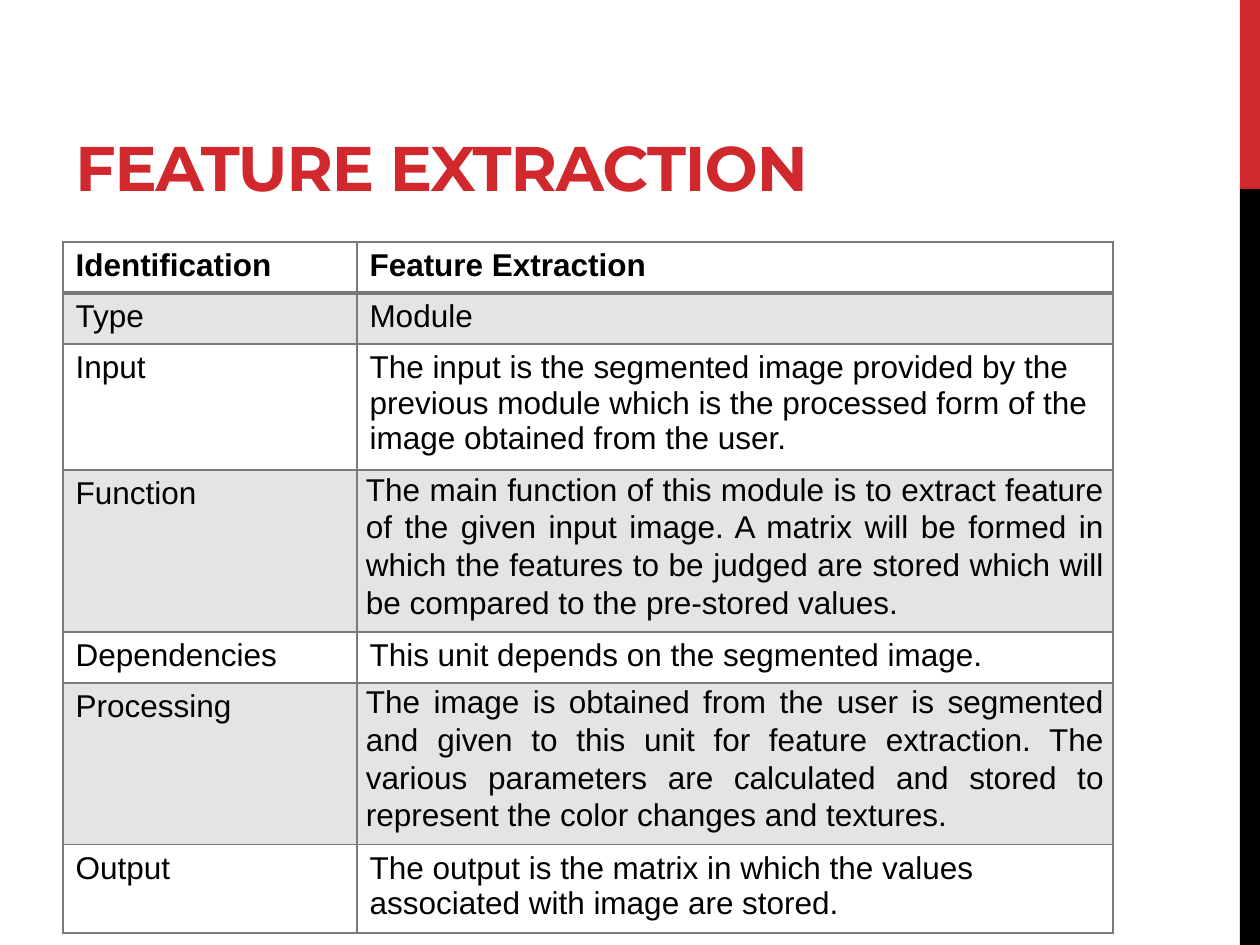
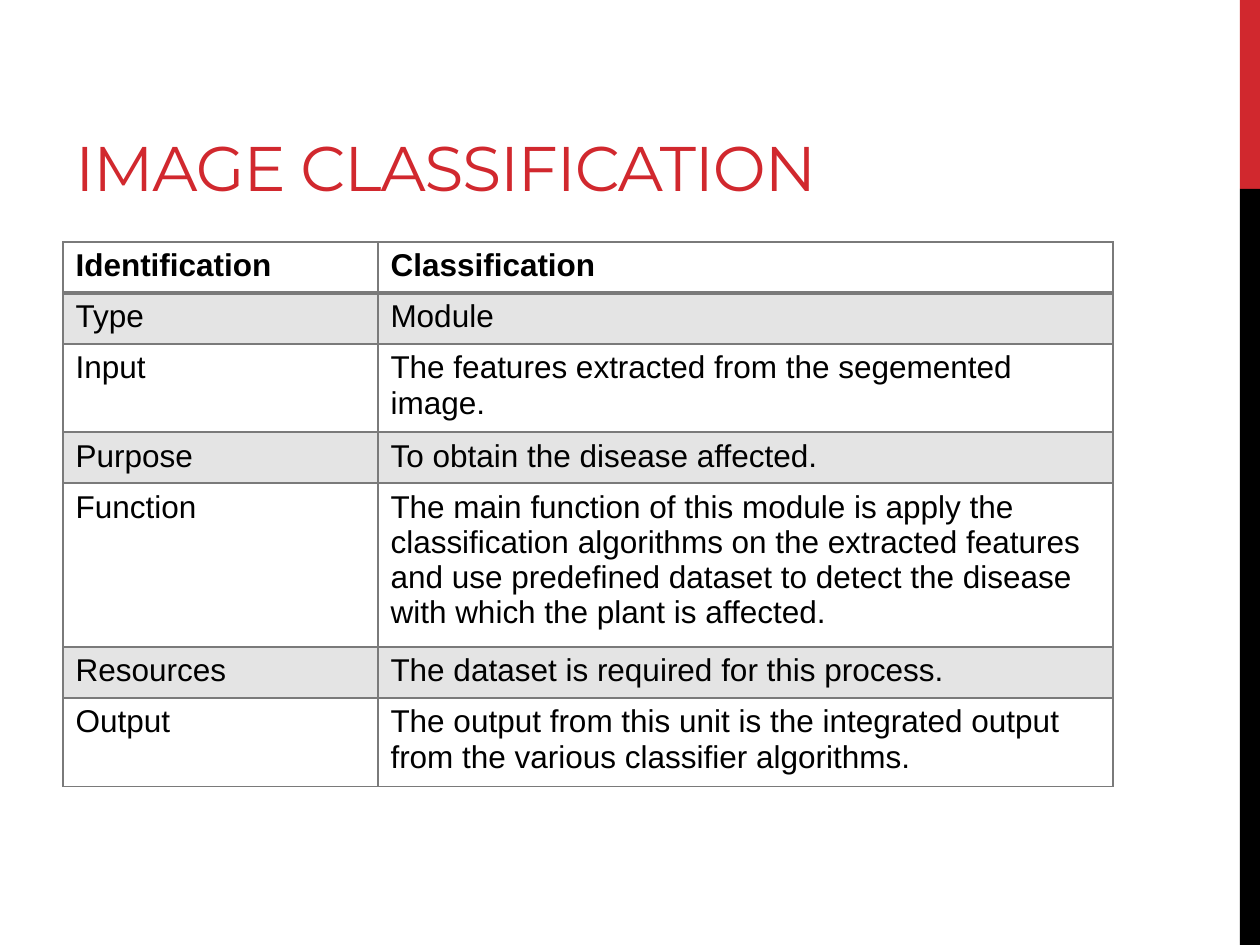
"""Build two module description slides with a shared title style, side band and table."""
from dataclasses import dataclass

from lxml.etree import SubElement
from pptx import Presentation
from pptx.dml.color import RGBColor as RGB
from pptx.enum.shapes import MSO_SHAPE as SHAPE
from pptx.enum.text import MSO_ANCHOR as ANCHOR, PP_ALIGN as ALIGN
from pptx.oxml.ns import qn
from pptx.util import Pt

PX = 914400 // 126


@dataclass(frozen=True)
class Theme:
    red: str = "D1282E"
    black: str = "000000"
    white: str = "FFFFFF"
    band: str = "E4E4E4"
    border: str = "7A7A7A"
    title_font: str = "Montserrat"
    body_font: str = "Arial"
    title_size: int = 36
    body_size: int = 18


theme = Theme()

SLIDES = [
    ("FEATURE EXTRACTION", True, (294, 756), {"Function", "Processing"}, [
        ("Identification", "Feature Extraction"),
        ("Type", "Module"),
        ("Input", "The input is the segmented image provided by the previous module "
                  "which is the processed form of the image obtained from the user."),
        ("Function", "The main function of this module is to extract feature of the given "
                     "input image. A matrix will be formed in which the features to be "
                     "judged are stored which will be compared to the pre-stored values."),
        ("Dependencies", "This unit depends on the segmented image."),
        ("Processing", "The image is obtained from the user is segmented and given to this "
                       "unit for feature extraction. The various parameters are calculated "
                       "and stored to represent the color changes and textures."),
        ("Output", "The output is the matrix in which the values associated with image "
                   "are stored."),
    ]),
    ("IMAGE CLASSIFICATION", False, (315, 735), set(), [
        ("Identification", "Classification"),
        ("Type", "Module"),
        ("Input", "The features extracted from the segemented image."),
        ("Purpose", "To obtain the disease affected."),
        ("Function", "The main function of this module is apply the classification "
                     "algorithms on the extracted features and use predefined dataset to "
                     "detect the disease with which the plant is affected."),
        ("Resources", "The dataset is required for this process."),
        ("Output", "The output from this unit is the integrated output from the various "
                   "classifier algorithms."),
    ]),
]


def style_run(r, font, size, color, bold):
    r.font.name = font
    r.font.size = Pt(size)
    r.font.color.rgb = RGB.from_string(color)
    r.font.bold = bold


def add_borders(cell, widths):
    tc_pr = cell._tc.get_or_add_tcPr()
    for side, width in widths.items():
        ln = SubElement(tc_pr, qn(f"a:ln{side}"), w=str(Pt(width)))
        fill = SubElement(ln, qn("a:solidFill"))
        SubElement(fill, qn("a:srgbClr"), val=theme.border)


prs = Presentation()
prs.slide_width = 1260 * PX
prs.slide_height = 945 * PX

for title, bold, widths, justified, rows in SLIDES:
    s = prs.slides.add_slide(prs.slide_layouts[6])

    for top, height, color in ((0, 189, theme.red), (189, 756, theme.black)):
        sp = s.shapes.add_shape(SHAPE.RECTANGLE, 1240 * PX, top * PX, 20 * PX, height * PX)
        sp.shadow.inherit = False
        sp.fill.solid()
        sp.fill.fore_color.rgb = RGB.from_string(color)
        sp.line.fill.background()

    tf = s.shapes.add_textbox(63 * PX, 21 * PX, 798 * PX, 189 * PX).text_frame
    tf.word_wrap = True
    tf.vertical_anchor = ANCHOR.BOTTOM
    tf.text = title
    r = tf.paragraphs[0].runs[0]
    style_run(r, theme.title_font, theme.title_size, theme.red, bold)
    r.font._element.set("spc", "-60")

    table = s.shapes.add_table(len(rows), 2, 63 * PX, 242 * PX,
                               sum(widths) * PX, 51 * len(rows) * PX).table
    table.first_row = False
    table.horz_banding = False
    for column, width in zip(table.columns, widths):
        column.width = width * PX

    for i, row in enumerate(rows):
        table.rows[i].height = 51 * PX
        for j, text in enumerate(row):
            cell = table.cell(i, j)
            add_borders(cell, {"L": 1, "R": 1, "T": 2 if i == 1 else 1, "B": 2 if i == 0 else 1})
            cell.fill.solid()
            cell.fill.fore_color.rgb = RGB.from_string(theme.band if i % 2 else theme.white)
            cell.text_frame.text = text
            p = cell.text_frame.paragraphs[0]
            style_run(p.runs[0], theme.body_font, theme.body_size, theme.black, i == 0)
            if j == 1 and row[0] in justified:
                cell.margin_left = cell.margin_right = 9 * PX
                cell.margin_top = cell.margin_bottom = 0
                p.alignment = ALIGN.JUSTIFY
                p.line_spacing = 1.07

prs.save("out.pptx")
